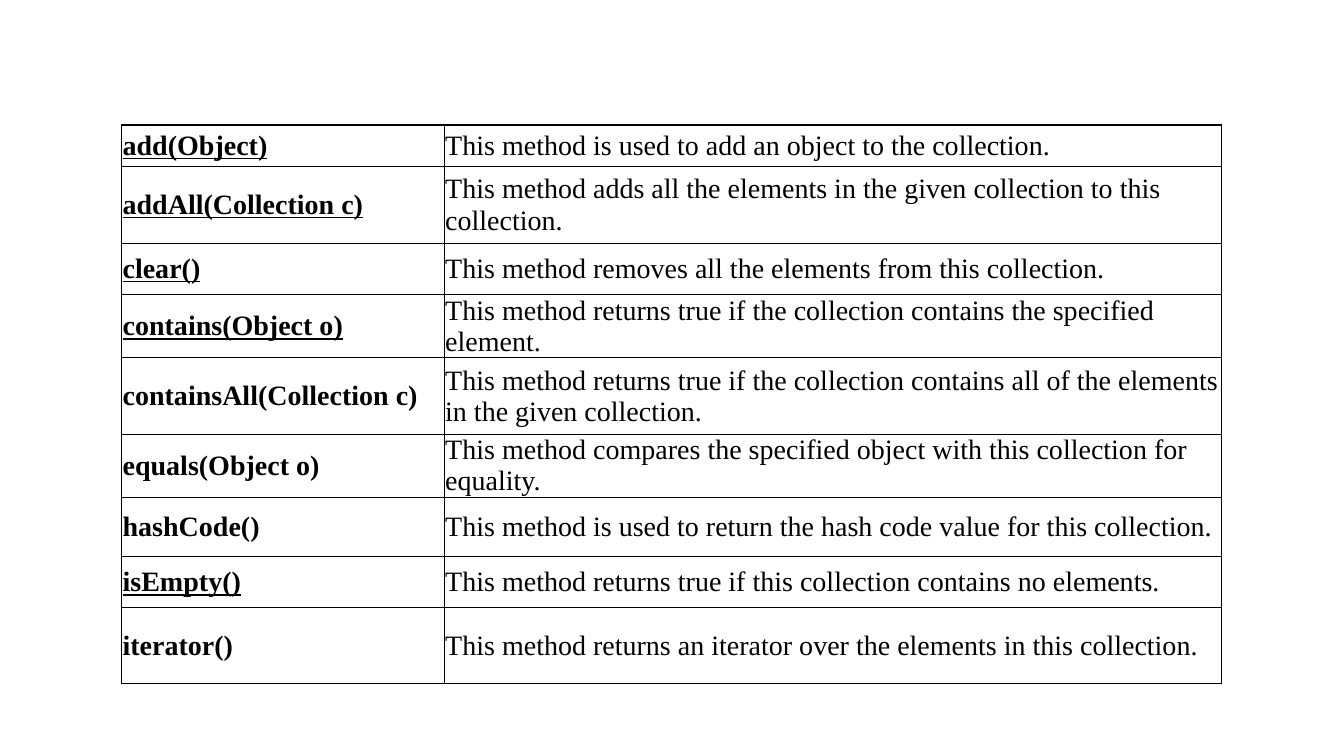
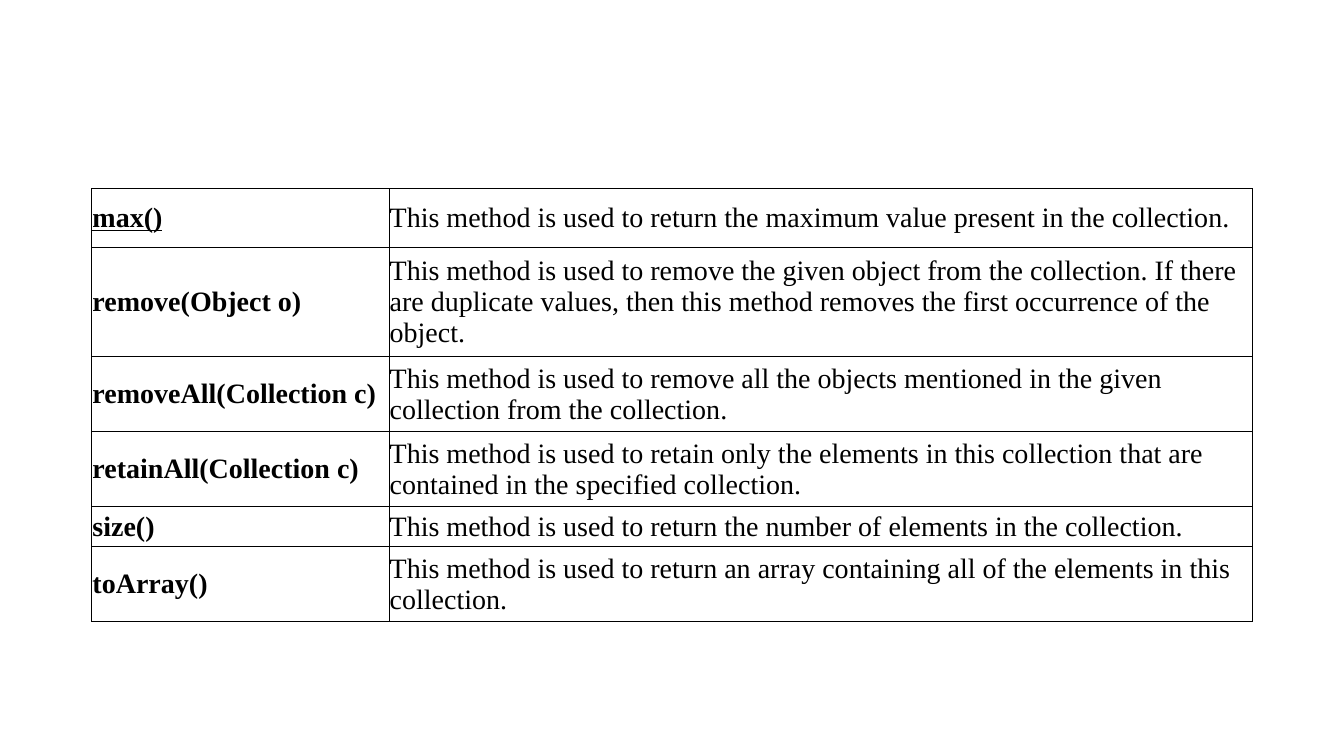
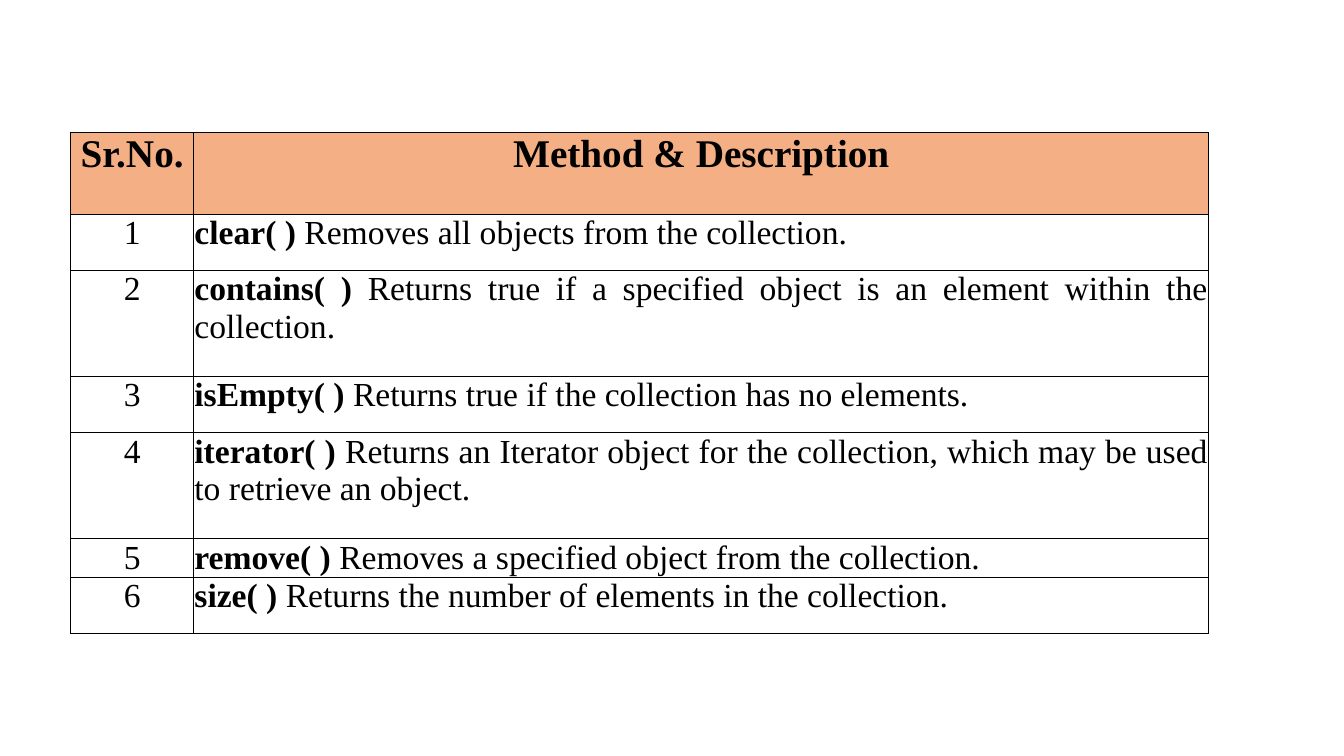
from dataclasses import dataclass

from lxml.etree import SubElement
from pptx import Presentation
from pptx.dml.color import RGBColor as RGB
from pptx.enum.text import MSO_ANCHOR as Anchor, PP_ALIGN as Align
from pptx.oxml.ns import qn
from pptx.util import Cm, Pt


@dataclass(frozen=True)
class Theme:
    font: str = "Times New Roman"
    ink: str = "000000"
    paper: str = "FFFFFF"
    header: str = "F4B084"
    method_size: int = 20
    list_size: int = 24
    header_size: int = 28
    thin: float = 0.5
    thick: float = 1
    inset: float = 0.02


THEME = Theme()

COLLECTION_METHODS = [
    (1.04, "add(Object)", True, "This method is used to add an object to the collection."),
    (1.93, "addAll(Collection c)", True,
     "This method adds all the elements in the given collection to this collection."),
    (1.3, "clear()", True, "This method removes all the elements from this collection."),
    (1.57, "contains(Object o)", True,
     "This method returns true if the collection contains the specified element."),
    (1.93, "containsAll(Collection c)", False,
     "This method returns true if the collection contains all of the elements in the given collection."),
    (1.57, "equals(Object o)", False,
     "This method compares the specified object with this collection for equality."),
    (1.5, "hashCode()", False,
     "This method is used to return the hash code value for this collection."),
    (1.27, "isEmpty()", True, "This method returns true if this collection contains no elements."),
    (1.93, "iterator()", False,
     "This method returns an iterator over the elements in this collection."),
]

MORE_METHODS = [
    (1.47, "max()", True,
     "This method is used to return the maximum value present in the collection."),
    (2.77, "remove(Object o)", False,
     "This method is used to remove the given object from the collection. "
     "If there are duplicate values, then this method removes the first occurrence of the object."),
    (1.88, "removeAll(Collection c)", False,
     "This method is used to remove all the objects mentioned in the given collection from the collection."),
    (1.88, "retainAll(Collection c)", False,
     "This method is used to retain only the elements in this collection "
     "that are contained in the specified collection."),
    (1.02, "size()", False,
     "This method is used to return the number of elements in the collection."),
    (1.88, "toArray()", False,
     "This method is used to return an array containing all of the elements in this collection."),
]

NUMBERED_METHODS = [
    (1.42, "clear( )", "Removes all objects from the collection."),
    (2.67, "contains( )", "Returns true if a specified object is an element within the collection."),
    (1.42, "isEmpty( )", "Returns true if the collection has no elements."),
    (2.67, "iterator( )",
     "Returns an Iterator object for the collection, which may be used to retrieve an object."),
    (0.97, "remove( )", "Removes a specified object from the collection."),
    (1.42, "size( )", "Returns the number of elements in the collection."),
]


def add_text(cell, text, size=THEME.method_size, bold=False, underline=False, align=Align.LEFT):
    p = cell.text_frame.paragraphs[0]
    p.alignment = align
    r = p.add_run()
    r.text = text
    f = r.font
    f.name, f.size, f.bold, f.underline = THEME.font, Pt(size), bold, underline
    f.color.rgb = RGB.from_string(THEME.ink)


def add_border(cell, side, width):
    ln = SubElement(cell._tc.get_or_add_tcPr(), qn(f"a:ln{side}"), w=str(Pt(width)))
    fill = SubElement(ln, qn("a:solidFill"))
    SubElement(fill, qn("a:srgbClr"), val=THEME.ink)


def add_grid(slide, left, top, widths, heights, outer=THEME.thin, anchor=Anchor.TOP):
    table = slide.shapes.add_table(
        len(heights), len(widths), Cm(left), Cm(top), Cm(sum(widths)), Cm(sum(heights))
    ).table
    table.first_row = table.horz_banding = False
    for column, width in zip(table.columns, widths):
        column.width = Cm(width)
    for i, (row, height) in enumerate(zip(table.rows, heights)):
        row.height = Cm(height)
        for j, cell in enumerate(row.cells):
            cell.margin_left = cell.margin_right = cell.margin_top = Cm(THEME.inset)
            cell.margin_bottom = 0
            cell.vertical_anchor = anchor
            on_edge = {"L": j == 0, "R": j == len(widths) - 1,
                       "T": i == 0, "B": i == len(heights) - 1}
            for side in "LRTB":
                add_border(cell, side, outer if on_edge[side] else THEME.thin)
            cell.fill.solid()
            cell.fill.fore_color.rgb = RGB.from_string(THEME.paper)
    return table


def add_method_table(slide, left, top, widths, methods, outer=THEME.thin):
    heights = [method[0] for method in methods]
    table = add_grid(slide, left, top, widths, heights, outer, Anchor.MIDDLE)
    for row, (_, name, underline, description) in zip(table.rows, methods):
        name_cell, description_cell = row.cells
        add_text(name_cell, name, bold=True, underline=underline)
        add_text(description_cell, description)


def add_numbered_table(slide, left, top, widths, titles, header_height, methods):
    heights = [header_height] + [method[0] for method in methods]
    table = add_grid(slide, left, top, widths, heights)
    for cell, title in zip(table.rows[0].cells, titles):
        cell.fill.fore_color.rgb = RGB.from_string(THEME.header)
        add_text(cell, title, size=THEME.header_size, bold=True, align=Align.CENTER)
    for number, (_, name, description) in enumerate(methods, 1):
        number_cell, method_cell = table.rows[number].cells
        add_text(number_cell, str(number), size=THEME.list_size, align=Align.CENTER)
        add_text(method_cell, f"{name} ", size=THEME.list_size, bold=True, align=Align.JUSTIFY)
        add_text(method_cell, description, size=THEME.list_size, align=Align.JUSTIFY)


def main():
    prs = Presentation()
    prs.slide_width, prs.slide_height = Cm(33.87), Cm(19.05)
    blank = prs.slide_layouts[6]
    first, second, third = (prs.slides.add_slide(blank) for _ in range(3))
    add_method_table(first, 3.07, 3.15, (8.13, 19.58), COLLECTION_METHODS, THEME.thick)
    add_method_table(second, 2.31, 4.75, (7.49, 21.77), MORE_METHODS)
    add_numbered_table(third, 1.78, 3.33, (3.1, 25.58),
                       ("Sr.No.", "Method & Description"), 2.06, NUMBERED_METHODS)
    prs.save("out.pptx")


if __name__ == "__main__":
    main()
